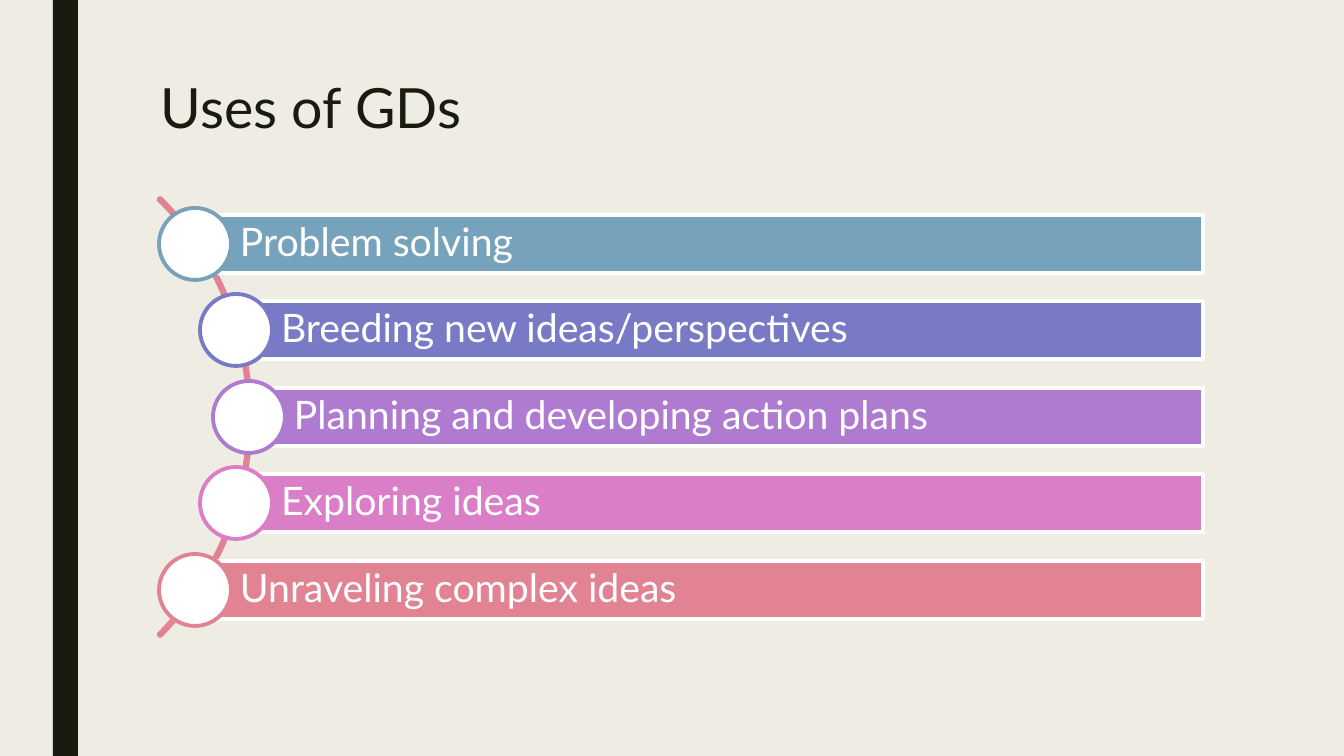
"""Build the "Uses of GDs" slide: five labelled bars strung along an arc."""
from pptx import Presentation
from pptx.dml.color import RGBColor
from pptx.enum.shapes import MSO_SHAPE
from pptx.enum.text import MSO_ANCHOR, PP_ALIGN
from pptx.util import Pt

RECTANGLE, OVAL, BLOCK_ARC = MSO_SHAPE.RECTANGLE, MSO_SHAPE.OVAL, MSO_SHAPE.BLOCK_ARC
TOP, MIDDLE, LEFT = MSO_ANCHOR.TOP, MSO_ANCHOR.MIDDLE, PP_ALIGN.LEFT

CREAM = RGBColor(0xEF, 0xED, 0xE3)
DARK = RGBColor(0x19, 0x1B, 0x0E)
WHITE = RGBColor(0xFF, 0xFF, 0xFF)
BLUE = RGBColor(0x77, 0xA2, 0xBB)
INDIGO = RGBColor(0x79, 0x7A, 0xC6)
PURPLE = RGBColor(0xAE, 0x7B, 0xD0)
PINK = RGBColor(0xDA, 0x7F, 0xC7)
ROSE = RGBColor(0xE2, 0x83, 0x94)

FONT = "Lato"
SLIDE_WIDTH, SLIDE_HEIGHT = 1344, 756
SCALE = 12192000 / SLIDE_WIDTH
BAR_RIGHT, BAR_TOP, BAR_HEIGHT, BAR_PITCH = 1203, 215, 58, 86.4
CIRCLE_SIZE = 72

USES = [
    ("Problem solving", BLUE, 195),
    ("Breeding new ideas/perspectives", INDIGO, 236),
    ("Planning and developing action plans", PURPLE, 249),
    ("Exploring ideas", PINK, 236),
    ("Unraveling complex ideas", ROSE, 195),
]


def add_shape(kind, left, top, width, height, fill, line):
    box = [round(length * SCALE) for length in (left, top, width, height)]
    shape = slide.shapes.add_shape(kind, *box)
    shape.shadow.inherit = False
    if fill is None:
        shape.fill.background()
    else:
        shape.fill.solid()
        shape.fill.fore_color.rgb = fill
    if line is None:
        shape.line.fill.background()
    else:
        shape.line.color.rgb = line
        shape.line.width = Pt(2.75)
    return shape


def write_text(shape, text, size, color, anchor, left_inset, inset):
    text_frame = shape.text_frame
    text_frame.text = text
    text_frame.word_wrap = True
    text_frame.vertical_anchor = anchor
    text_frame.margin_left = round(left_inset * SCALE)
    text_frame.margin_right = round(inset * SCALE)
    text_frame.margin_top = text_frame.margin_bottom = round(inset * SCALE)
    paragraph = text_frame.paragraphs[0]
    paragraph.alignment = LEFT
    paragraph.line_spacing = 0.9
    font = paragraph.runs[0].font
    font.name = FONT
    font.size = Pt(size)
    font.color.rgb = color


presentation = Presentation()
presentation.slide_width = round(SLIDE_WIDTH * SCALE)
presentation.slide_height = round(SLIDE_HEIGHT * SCALE)
slide = presentation.slides.add_slide(presentation.slide_layouts[6])
slide.background.fill.solid()
slide.background.fill.fore_color.rgb = CREAM

add_shape(RECTANGLE, 53, 0, 25, SLIDE_HEIGHT, DARK, None)

title_box = [round(length * SCALE) for length in (151, 76, 1058, 63)]
title = slide.shapes.add_textbox(*title_box)
write_text(title, "Uses of GDs", 39.6, DARK, TOP, 10, 5)

arc = add_shape(BLOCK_ARC, -369, 107, 620, 620, None, ROSE)
for index, value in enumerate((189, 27, 0.004)):
    arc.adjustments[index] = value

for index, (use, color, bar_left) in enumerate(USES):
    bar_top = round(BAR_TOP + index * BAR_PITCH)
    bar = add_shape(RECTANGLE, bar_left, bar_top, BAR_RIGHT - bar_left, BAR_HEIGHT, color, WHITE)
    write_text(bar, use, 28, WHITE, MIDDLE, 45, 8)
    circle_left = bar_left - CIRCLE_SIZE // 2
    circle_top = bar_top - (CIRCLE_SIZE - BAR_HEIGHT) // 2
    add_shape(OVAL, circle_left, circle_top, CIRCLE_SIZE, CIRCLE_SIZE, WHITE, color)

presentation.save("out.pptx")
